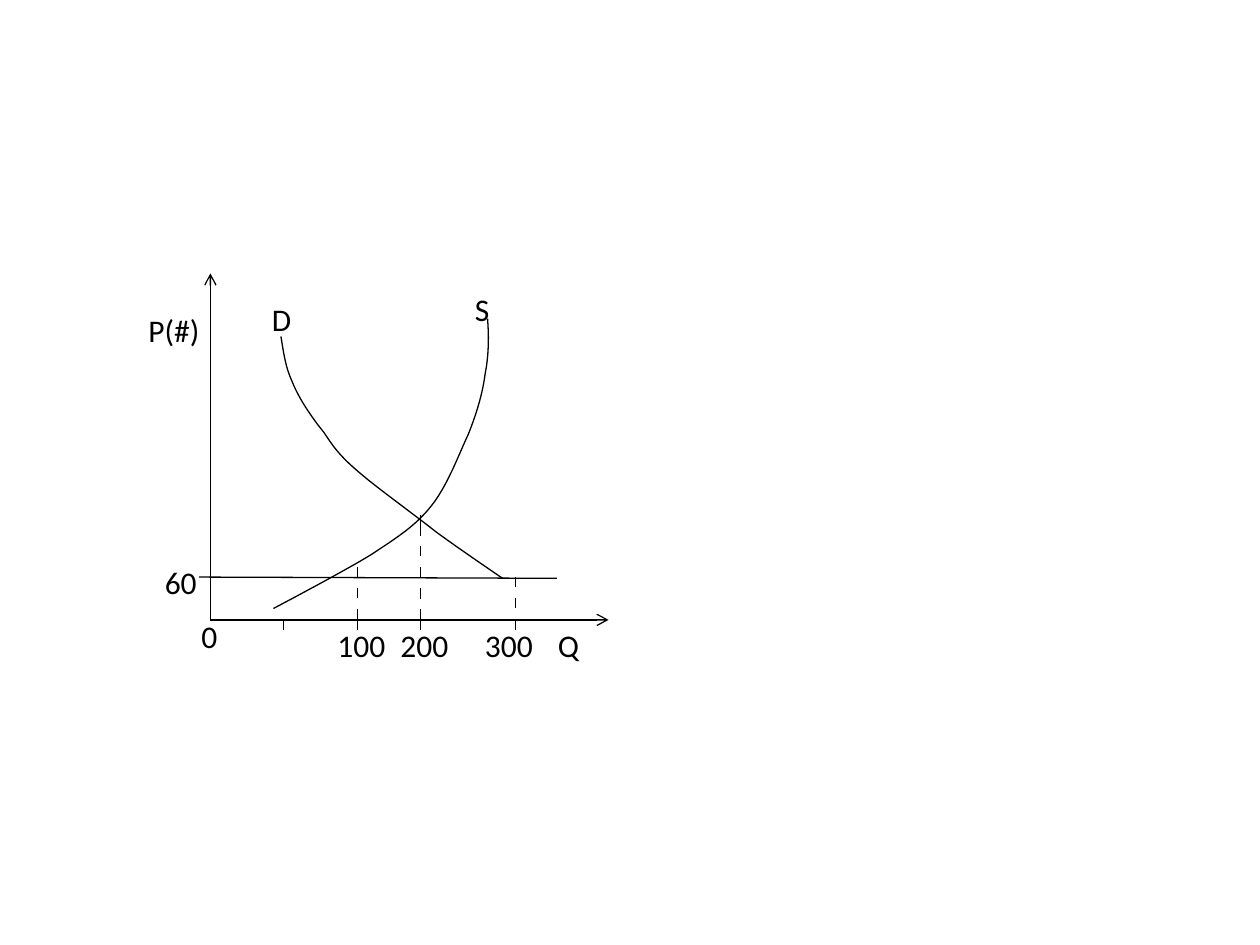
from lxml import etree
from pptx import Presentation
from pptx.dml.color import RGBColor
from pptx.enum import shapes, text
from pptx.oxml import ns
from pptx.util import Inches, Pt

INK = "000000"
AXIS_Y = 4.92
DASH = 0.08
DASH_STEP = 1 / 6
CURVE_STEPS = 12

SUPPLY = [
    (3.87, 2.53), (3.88, 2.68), (3.88, 2.82), (3.85, 2.97),
    (3.83, 3.12), (3.79, 3.26), (3.72, 3.44),
    (3.64, 3.61), (3.55, 3.86), (3.42, 4.02),
    (3.29, 4.18), (3.16, 4.26), (2.95, 4.40),
    (2.74, 4.53), (2.17, 4.83), (2.17, 4.83),
]
DEMAND = [
    (2.23, 2.67), (2.25, 2.78), (2.26, 2.90), (2.32, 3.03),
    (2.37, 3.16), (2.48, 3.32), (2.57, 3.43),
    (2.65, 3.55), (2.69, 3.61), (2.84, 3.74),
    (2.99, 3.87), (3.27, 4.07), (3.46, 4.22),
    (3.65, 4.36), (3.99, 4.59), (3.99, 4.59),
]
DASHED_DROPS = [(2.84, 4.5, 3), (3.34, 4.09, 1), (3.34, 4.17, 5), (4.09, 4.58, 2)]
QUANTITY_TICKS = [2.25, 2.84, 3.34, 4.09]
LABELS = [
    ("100", 2.58, 4.92, 0.59),
    ("200", 3.08, 4.92, 0.59),
    ("300", 3.75, 4.92, 0.59),
    ("0", 1.5, 4.85, 0.33),
    ("60", 1.21, 4.42, 0.46),
    ("D", 2.06, 2.33, 0.36),
    ("S", 3.67, 2.25, 0.32),
    ("P(#)", 1.08, 2.42, 0.61),
    ("Q", 4.33, 4.92, 0.37),
]


def color(hex_code):
    return RGBColor.from_string(hex_code)


def style_line(line):
    line.color.rgb = color(INK)
    line.width = Pt(0.75)


def add_line(slide, start, end, arrow=False):
    segment = slide.shapes.add_connector(
        shapes.MSO_CONNECTOR.STRAIGHT, *map(Inches, (*start, *end)))
    style_line(segment.line)
    properties = segment._element.spPr
    if arrow:
        outline = properties.find(ns.qn("a:ln"))
        etree.SubElement(outline, ns.qn("a:tailEnd"), type="arrow")
    etree.SubElement(properties, ns.qn("a:effectLst"))


def add_dashes(slide, x, top, count):
    for index in range(count):
        y = top + index * DASH_STEP
        add_line(slide, (x, y), (x, y + DASH))


def bezier_point(controls, t):
    weights = ((1 - t) ** 3, 3 * t * (1 - t) ** 2, 3 * t ** 2 * (1 - t), t ** 3)
    return tuple(Inches(sum(w * c for w, c in zip(weights, axis)))
                 for axis in zip(*controls))


def add_curve(slide, controls):
    points = [bezier_point(controls[first:first + 4], step / CURVE_STEPS)
              for first in range(0, len(controls) - 1, 3)
              for step in range(1, CURVE_STEPS + 1)]
    builder = slide.shapes.build_freeform(*map(Inches, controls[0]))
    builder.add_line_segments(points, close=False)
    curve = builder.convert_to_shape()
    curve.shadow.inherit = False
    curve.fill.background()
    style_line(curve.line)


def add_label(slide, caption, left, top, width):
    label = slide.shapes.add_textbox(*map(Inches, (left, top, width, 0.4)))
    frame = label.text_frame
    frame.word_wrap = False
    frame.auto_size = text.MSO_AUTO_SIZE.SHAPE_TO_FIT_TEXT
    frame.text = caption
    font = frame.paragraphs[0].runs[0].font
    font.name = "Calibri"
    font.size = Pt(18)
    font.color.rgb = color(INK)


def main():
    deck = Presentation()
    deck.slide_width, deck.slide_height = Inches(10), Inches(7.5)
    slide = deck.slides.add_slide(deck.slide_layouts[6])

    origin = (1.67, AXIS_Y)
    add_line(slide, origin, (1.67, 2.17), arrow=True)
    add_line(slide, origin, (4.83, AXIS_Y), arrow=True)
    add_line(slide, (1.58, 4.58), (4.42, 4.59))
    for controls in (SUPPLY, DEMAND):
        add_curve(slide, controls)
    for drop in DASHED_DROPS:
        add_dashes(slide, *drop)
    for x in QUANTITY_TICKS:
        add_dashes(slide, x, AXIS_Y, 1)
    for label in LABELS:
        add_label(slide, *label)

    deck.save("out.pptx")


if __name__ == "__main__":
    main()
